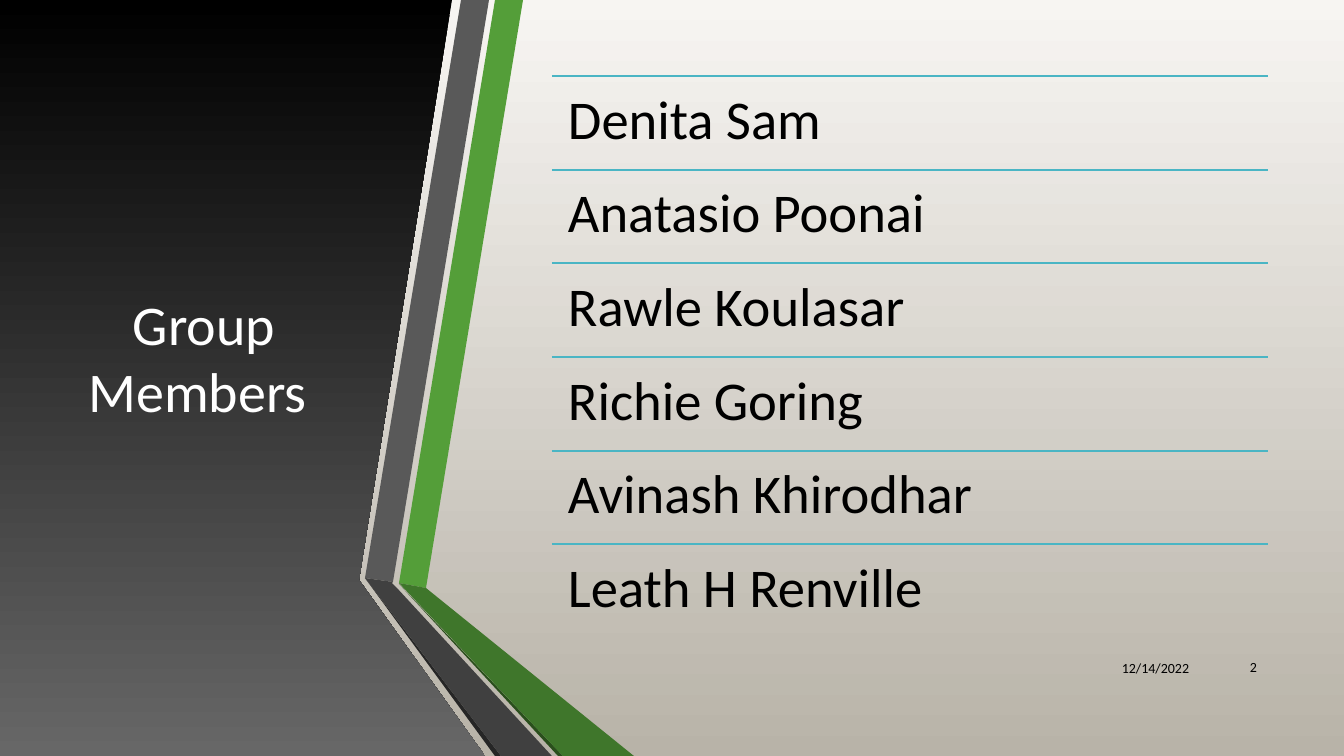
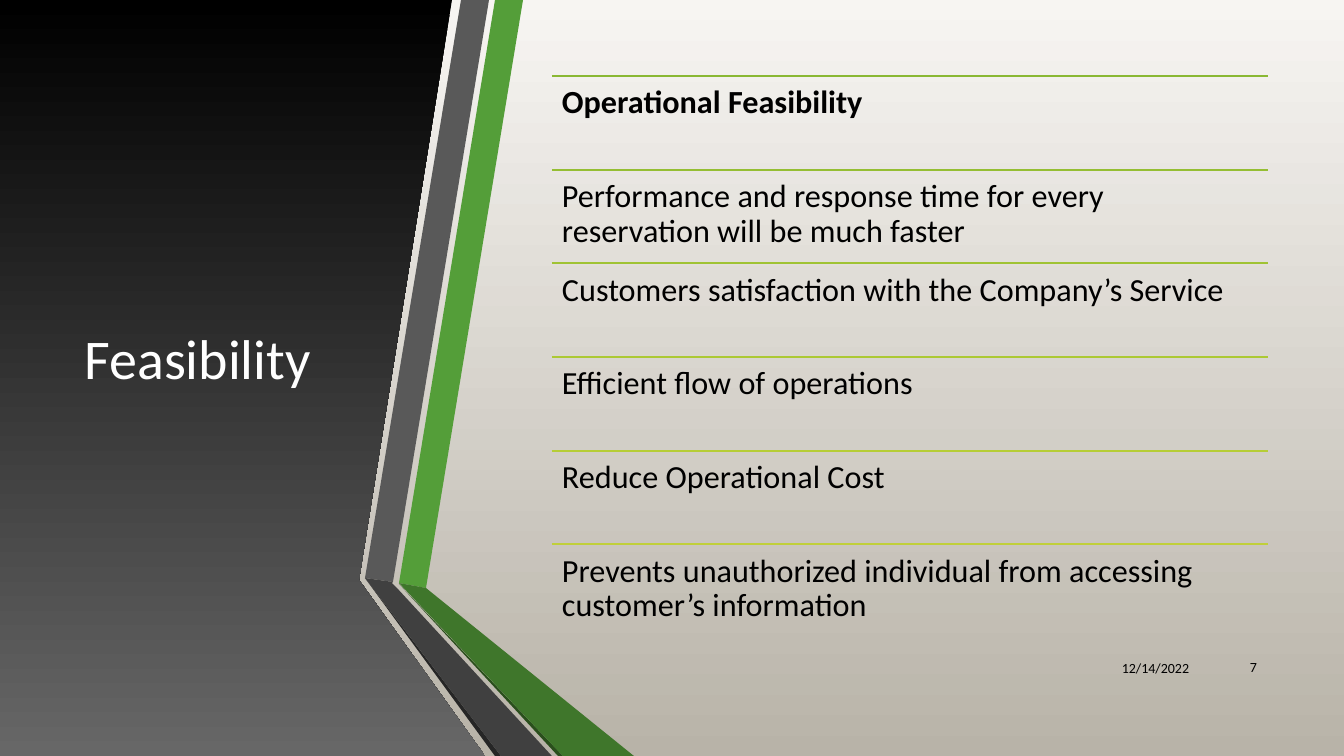
"""Build two list slides that share a dark title panel and folded ribbons."""
from lxml.etree import SubElement
from pptx import Presentation
from pptx.dml.color import RGBColor
from pptx.enum.shapes import MSO_CONNECTOR
from pptx.enum.text import MSO_ANCHOR, PP_ALIGN
from pptx.oxml.ns import qn
from pptx.util import Pt

PX = 914400 / 100.8
W, H = 1344, 756
FONT = "Calibri"
COLORS = {
    "bg_top": "F7F5F2", "bg_bottom": "B8B3A8",
    "panel_top": "000000", "panel_bottom": "676767",
    "title": "FFFFFF", "text": "000000",
    "green": "549E39", "green_fold": "3F762B", "green_edge": "2A4F1C",
    "gray": "595959", "gray_fold": "404040", "gray_edge": "262626",
}
PANEL = [(0, 0), (452, 0), (359, 580), (485, H), (0, H)]
RIBBONS = [
    ("green", [(399, 583), (426, 588), (523, 0), (495, 0)]),
    ("gray", [(489, 0), (461, 0), (365, 578), (393, 582)]),
    ("gray_edge", [(365, 578), (495, H), (501, H)]),
    ("green_edge", [(399, 584), (558, H), (563, H)]),
    ("green_fold", [(399, 583), (563, H), (634, H), (426, 588)]),
    ("gray_fold", [(552, H), (397, 588), (392, 583), (393, 582), (365, 578), (501, H)]),
]
LIST_X, LIST_Y, LIST_W, LIST_H = 552, 76, 716, 562
SLIDES = [
    {
        "title": "Group Members ", "number": "2", "size": 39, "inset": 16, "bold_first": False,
        "rules": ["4AB5C4"] * 6,
        "rows": ["Denita Sam", "Anatasio Poonai ", "Rawle Koulasar ",
                 "Richie Goring ", "Avinash Khirodhar", "Leath H Renville "],
    },
    {
        "title": "Feasibility ", "number": "7", "size": 23, "inset": 10, "bold_first": True,
        "rules": ["8AB833", "95BE33", "A0C334", "ACC934", "B6CD36", "C0CF3A"],
        "rows": ["Operational Feasibility",
                 "Performance and response time for every reservation will be much faster",
                 "Customers satisfaction with the Company’s Service",
                 "Efficient flow of operations",
                 "Reduce Operational Cost",
                 "Prevents unauthorized individual from accessing customer’s information "],
    },
]


def set_gradient(fill, *names):
    fill.gradient()
    fill.gradient_angle = 270
    for stop, name in zip(fill.gradient_stops, names):
        stop.color.rgb = RGBColor.from_string(COLORS[name])


def add_text(s, box, text, size, color="text", align=PP_ALIGN.LEFT, anchor=MSO_ANCHOR.MIDDLE):
    tf = s.shapes.add_textbox(*(round(v * PX) for v in box)).text_frame
    tf.word_wrap = True
    tf.vertical_anchor = anchor
    p = tf.paragraphs[0]
    p.text = text
    p.alignment = align
    p.font.name = FONT
    p.font.size = Pt(size)
    p.font.color.rgb = RGBColor.from_string(COLORS[color])
    return tf


prs = Presentation()
prs.slide_width, prs.slide_height = round(W * PX), round(H * PX)

for content in SLIDES:
    s = prs.slides.add_slide(prs.slide_layouts[6])
    set_gradient(s.background.fill, "bg_top", "bg_bottom")

    for name, points in [("panel", PANEL)] + RIBBONS:
        builder = s.shapes.build_freeform(*points[0], scale=PX)
        builder.add_line_segments(points[1:], close=True)
        sp = builder.convert_to_shape()
        sp.shadow.inherit = False
        sp.line.fill.background()
        if name == "panel":
            set_gradient(sp.fill, "panel_top", "panel_bottom")
        else:
            sp.fill.solid()
            sp.fill.fore_color.rgb = RGBColor.from_string(COLORS[name])

    add_text(s, (58, 76, 292, 562), content["title"], 40, "title", PP_ALIGN.CENTER)

    row_h = LIST_H / len(content["rows"])
    for i, (text, rule) in enumerate(zip(content["rows"], content["rules"])):
        y = LIST_Y + i * row_h
        line = s.shapes.add_connector(
            MSO_CONNECTOR.STRAIGHT,
            *(round(v * PX) for v in (LIST_X, y, LIST_X + LIST_W, y)))
        line.line.color.rgb = RGBColor.from_string(rule)
        line.line.width = Pt(1.25)
        SubElement(line._element.spPr, qn("a:effectLst"))

        tf = add_text(s, (LIST_X, y, LIST_W, row_h), text, content["size"], anchor=MSO_ANCHOR.TOP)
        tf.margin_left = tf.margin_right = tf.margin_top = tf.margin_bottom = round(content["inset"] * PX)
        p = tf.paragraphs[0]
        p.line_spacing = 0.9
        p.font.bold = content["bold_first"] and i == 0

    add_text(s, (1073, 648, 126, 40), "12/14/2022", 10, align=PP_ALIGN.RIGHT)
    add_text(s, (1207, 647, 60, 40), content["number"], 10, align=PP_ALIGN.RIGHT)

prs.save("out.pptx")
